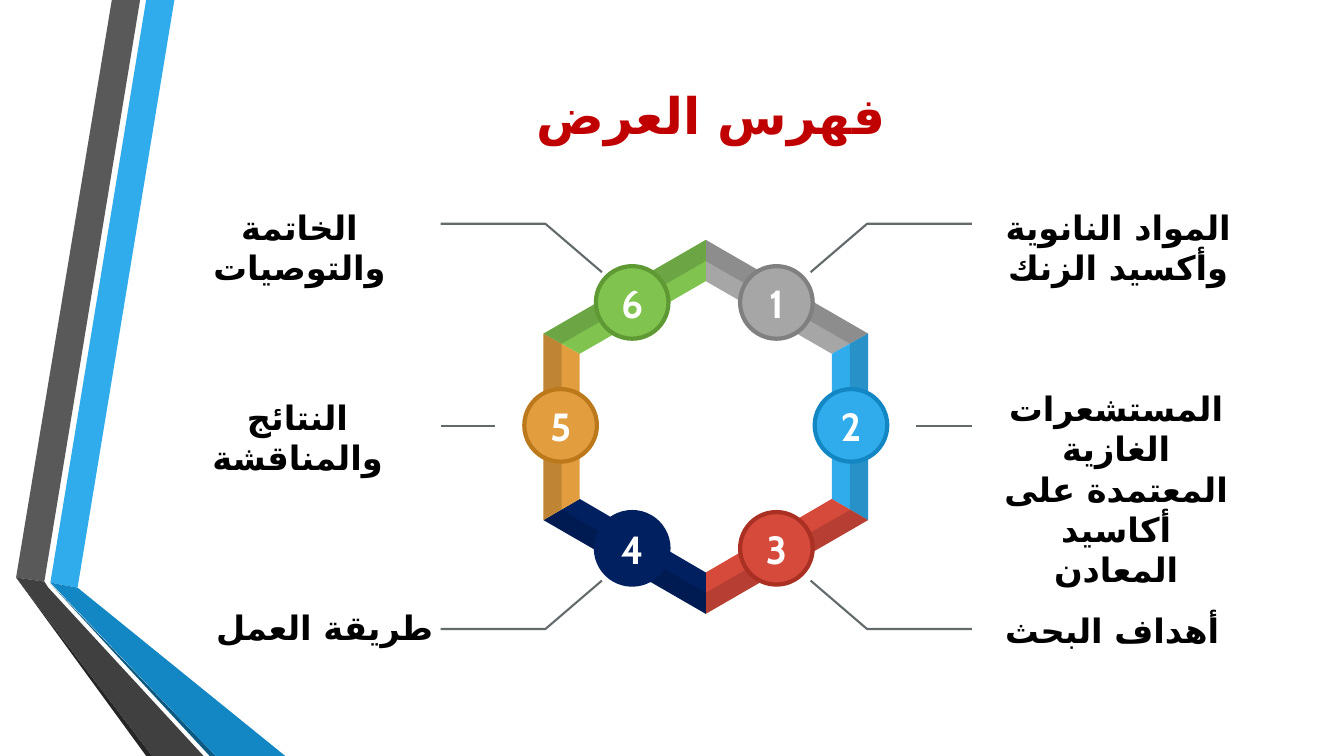
"""Build the Arabic agenda slide: a six-part hexagon ring with numbered topics."""
from dataclasses import dataclass
from typing import NamedTuple

from lxml.etree import SubElement
from pptx import Presentation
from pptx.dml.color import RGBColor
from pptx.enum.shapes import MSO_SHAPE
from pptx.enum.text import MSO_ANCHOR, MSO_AUTO_SIZE, PP_ALIGN
from pptx.oxml.ns import qn
from pptx.shapes.autoshape import Shape
from pptx.slide import Slide
from pptx.text.text import TextFrame
from pptx.util import Pt

SCALE = 9144
Point = tuple[int, int]


@dataclass(frozen=True)
class Theme:
    title: str = "C00000"
    body: str = "000000"
    number: str = "FFFFFF"
    leader: str = "636A6C"
    shade: str = "000000"
    shade_alpha: int = 15000
    text_font: str = "Arial"
    arabic_font: str = "DejaVu Sans"
    number_font: str = "Cabin"
    title_size: int = 36
    number_size: int = 28
    body_size: int = 24
    badge_line: float = 3
    leader_line: float = 1.5


class Box(NamedTuple):
    left: int
    top: int
    width: int
    height: int


class Ribbon(NamedTuple):
    color: str
    points: list[Point]


class Topic(NamedTuple):
    lines: list[str]
    box: Box
    badge_center: Point
    color: str
    border: str
    leader: list[Point]


THEME = Theme()
BADGE_SIZE = 72
BADGE_INSET = 4
TITLE = "فهرس العرض"
TITLE_BOX = Box(157, 17, 1096, 192)

RIBBONS = [
    Ribbon("30ACEC", [(50, 578), (77, 583), (173, 0), (145, 0)]),
    Ribbon("595959", [(139, 0), (111, 0), (16, 573), (44, 577)]),
    Ribbon("262626", [(16, 573), (145, 750), (151, 750)]),
    Ribbon("0C5A82", [(50, 579), (208, 750), (214, 750)]),
    Ribbon("1287C3", [(50, 578), (214, 750), (283, 750), (77, 583)]),
    Ribbon("404040", [(202, 750), (48, 583), (44, 577), (16, 573), (151, 750)]),
]

OUTER = [(700, 238), (861, 331), (861, 516), (700, 609), (539, 516), (539, 331)]
MIDDLE = [(700, 259), (843, 341), (843, 506), (700, 588), (557, 506), (557, 341)]
INNER = [(700, 279), (825, 351), (825, 495), (700, 568), (575, 495), (575, 351)]

TOPICS = [
    Topic(["المواد النانوية وأكسيد الزنك"], Box(983, 200, 252, 91), (770, 300),
          "A6A6A6", "808080", [(964, 222), (860, 222), (804, 270)]),
    Topic(["المستشعرات الغازية", "المعتمدة على أكاسيد المعادن"],
          Box(981, 380, 252, 131), (844, 422),
          "30ACEC", "1287C3", [(964, 423), (909, 423)]),
    Topic(["أهداف البحث"], Box(977, 600, 252, 50), (770, 544),
          "D64A3B", "A93023", [(964, 624), (860, 624), (804, 576)]),
    Topic(["طريقة العمل"], Box(196, 597, 252, 50), (627, 544),
          "002060", "002060", [(437, 624), (541, 624), (597, 576)]),
    Topic(["النتائج والمناقشة"], Box(169, 389, 252, 50), (556, 422),
          "E29D3E", "BC791C", [(437, 423), (491, 423)]),
    Topic(["الخاتمة والتوصيات"], Box(171, 200, 252, 50), (627, 300),
          "80C34F", "5F9934", [(437, 222), (541, 222), (597, 270)]),
]


def rgb(color: str) -> RGBColor:
    """Turn RRGGBB into a colour."""
    return RGBColor.from_string(color)


def emu(box: Box) -> list[int]:
    """Turn a box in px into EMU."""
    return [length * SCALE for length in box]


def draw_paths(slide: Slide, paths: list[list[Point]], closed: bool = True) -> Shape:
    """Draw one shape made of several outlines, without shadow."""
    builder = slide.shapes.build_freeform(*paths[0][0], scale=SCALE)
    for index, points in enumerate(paths):
        if index:
            builder.move_to(*points[0])
        builder.add_line_segments(points[1:], close=closed)
    outline = builder.convert_to_shape()
    outline.shadow.inherit = False
    return outline


def draw_filled(slide: Slide, paths: list[list[Point]], color: str) -> Shape:
    """Draw filled outlines without a border."""
    filled = draw_paths(slide, paths)
    filled.fill.solid()
    filled.fill.fore_color.rgb = rgb(color)
    filled.line.fill.background()
    return filled


def write(frame: TextFrame, lines: list[str], size: int, color: str,
          font_name: str, arabic: bool = True) -> None:
    """Write centred bold paragraphs."""
    frame.word_wrap = True
    for index, line in enumerate(lines):
        paragraph = frame.paragraphs[0] if index == 0 else frame.add_paragraph()
        paragraph.text = line
        paragraph.alignment = PP_ALIGN.CENTER
        font = paragraph.font
        font.size, font.bold, font.name = Pt(size), True, font_name
        font.color.rgb = rgb(color)
        if arabic:
            paragraph._p.get_or_add_pPr().set("rtl", "1")
            run_properties = paragraph.runs[0]._r.get_or_add_rPr()
            SubElement(run_properties, qn("a:cs"), typeface=THEME.arabic_font)


def draw_title(slide: Slide) -> None:
    """Draw the slide title."""
    frame = slide.shapes.add_textbox(*emu(TITLE_BOX)).text_frame
    frame.vertical_anchor = MSO_ANCHOR.MIDDLE
    write(frame, [TITLE], THEME.title_size, THEME.title, THEME.text_font)


def ring_sides(inside: list[Point]) -> list[list[Point]]:
    """List the six strips between the outer hexagon and one inside it."""
    sides = []
    for side in range(len(OUTER)):
        following = (side + 1) % len(OUTER)
        sides.append([OUTER[side], OUTER[following], inside[following], inside[side]])
    return sides


def draw_ring(slide: Slide) -> None:
    """Draw the six hexagon sides and darken their outer half."""
    for topic, side in zip(TOPICS, ring_sides(INNER)):
        draw_filled(slide, [side], topic.color)
    shade = draw_filled(slide, ring_sides(MIDDLE), THEME.shade)
    shade_color = shade._element.spPr.find(qn("a:solidFill"))[0]
    SubElement(shade_color, qn("a:alpha"), val=str(THEME.shade_alpha))


def draw_badge(slide: Slide, number: int, topic: Topic) -> None:
    """Draw a numbered circle on the ring."""
    x, y = topic.badge_center
    box = Box(x - BADGE_SIZE // 2, y - BADGE_SIZE // 2, BADGE_SIZE, BADGE_SIZE)
    badge = slide.shapes.add_shape(MSO_SHAPE.OVAL, *emu(box))
    badge.shadow.inherit = False
    badge.fill.solid()
    badge.fill.fore_color.rgb = rgb(topic.color)
    badge.line.color.rgb = rgb(topic.border)
    badge.line.width = Pt(THEME.badge_line)
    frame = badge.text_frame
    frame.vertical_anchor = MSO_ANCHOR.MIDDLE
    frame.margin_left = frame.margin_right = BADGE_INSET * SCALE
    frame.margin_top = frame.margin_bottom = BADGE_INSET * SCALE
    write(frame, [str(number)], THEME.number_size, THEME.number,
          THEME.number_font, arabic=False)


def draw_leaders(slide: Slide, topics: list[Topic]) -> None:
    """Draw the lines from the topics of one column to their badges."""
    leaders = draw_paths(slide, [topic.leader for topic in topics], closed=False)
    leaders.fill.background()
    leaders.line.color.rgb = rgb(THEME.leader)
    leaders.line.width = Pt(THEME.leader_line)


def draw_label(slide: Slide, topic: Topic) -> None:
    """Draw the wording of a topic."""
    frame = slide.shapes.add_textbox(*emu(topic.box)).text_frame
    write(frame, topic.lines, THEME.body_size, THEME.body, THEME.text_font)
    frame.auto_size = MSO_AUTO_SIZE.SHAPE_TO_FIT_TEXT


def main() -> None:
    """Build and save the slide."""
    deck = Presentation()
    deck.slide_width, deck.slide_height = 1333 * SCALE, 750 * SCALE
    slide = deck.slides.add_slide(deck.slide_layouts[6])
    for ribbon in RIBBONS:
        draw_filled(slide, [ribbon.points], ribbon.color)
    draw_title(slide)
    draw_ring(slide)
    for number, topic in enumerate(TOPICS, start=1):
        draw_badge(slide, number, topic)
        draw_label(slide, topic)
    for column in (TOPICS[3:], TOPICS[:3]):
        draw_leaders(slide, column)
    deck.save("out.pptx")


if __name__ == "__main__":
    main()
